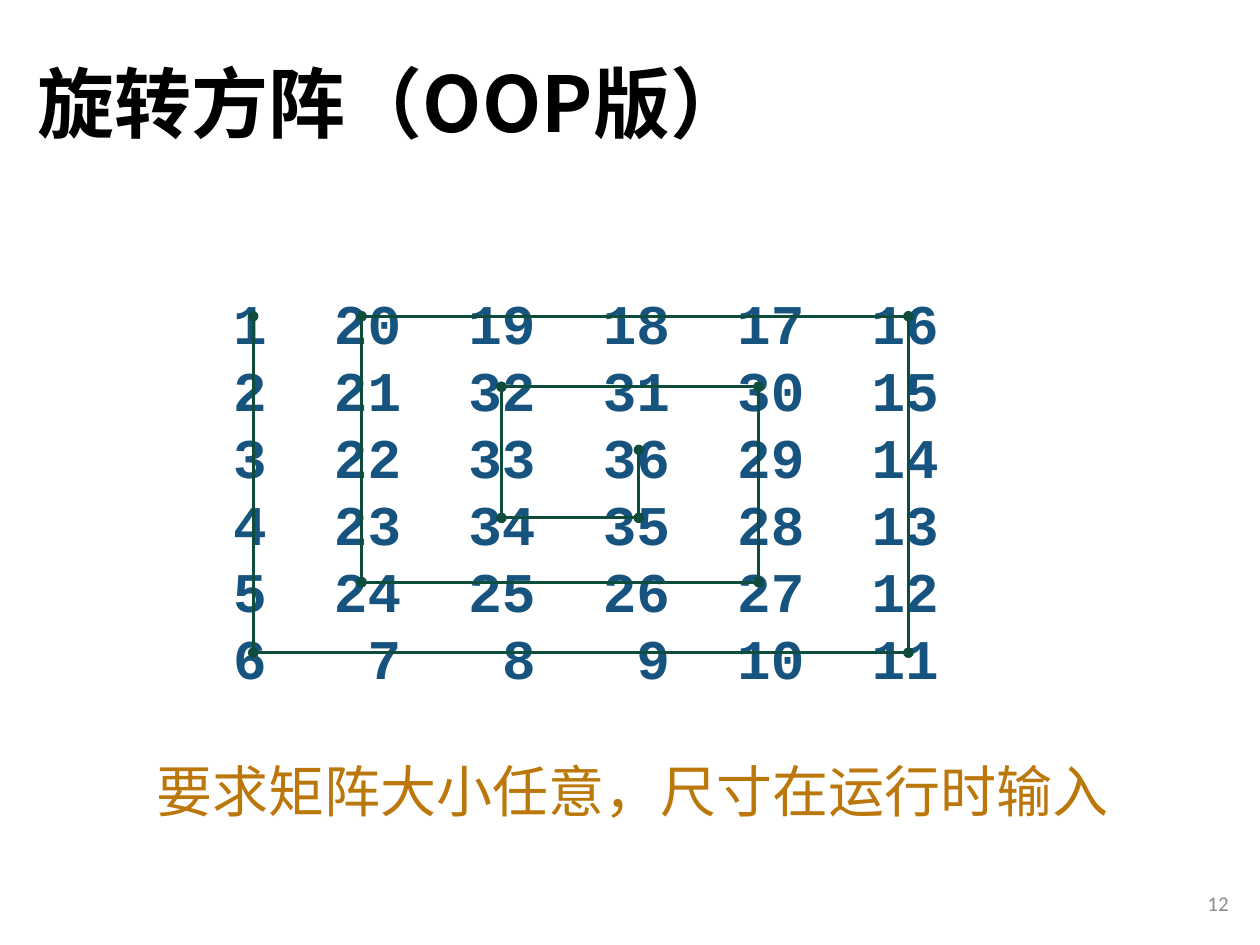
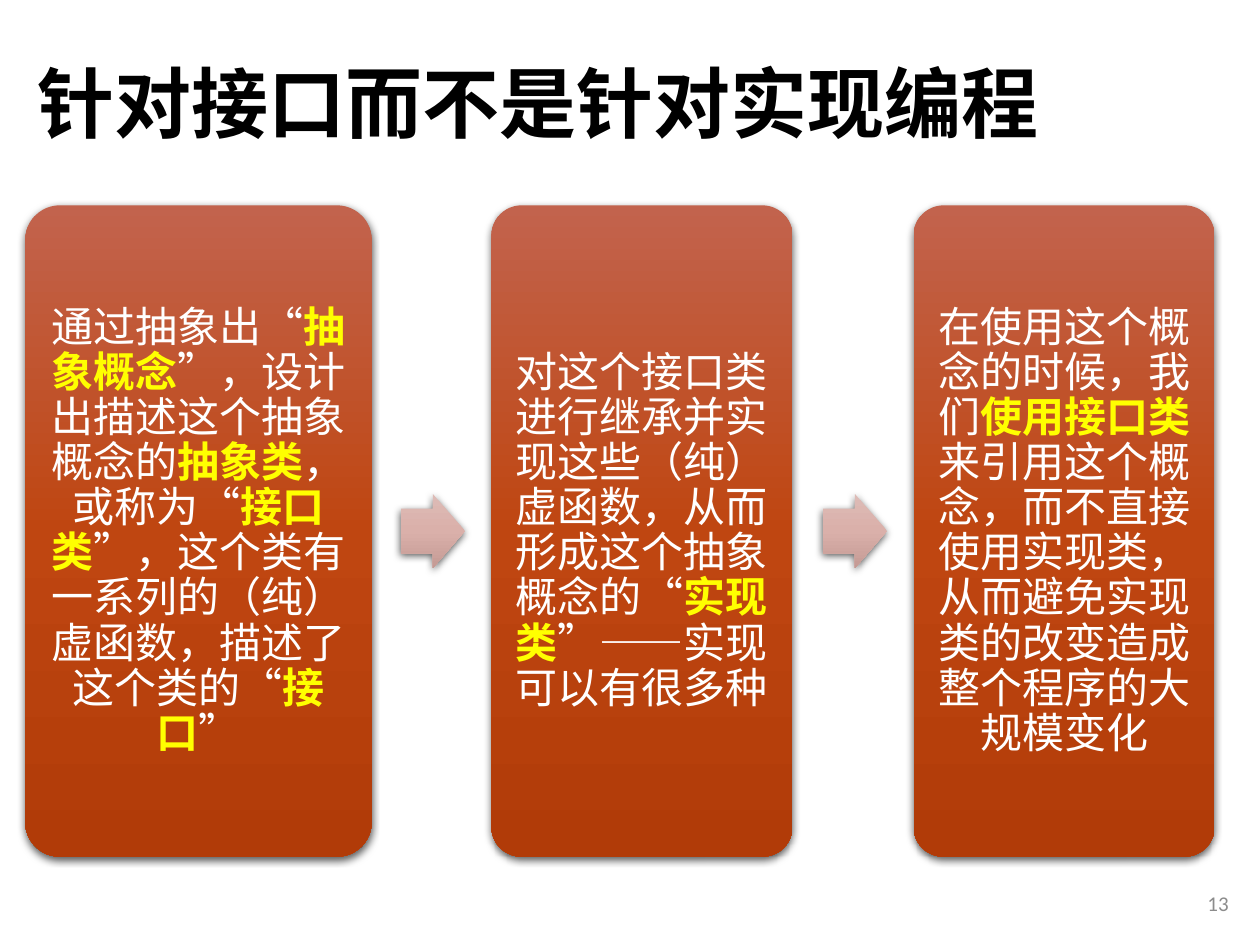
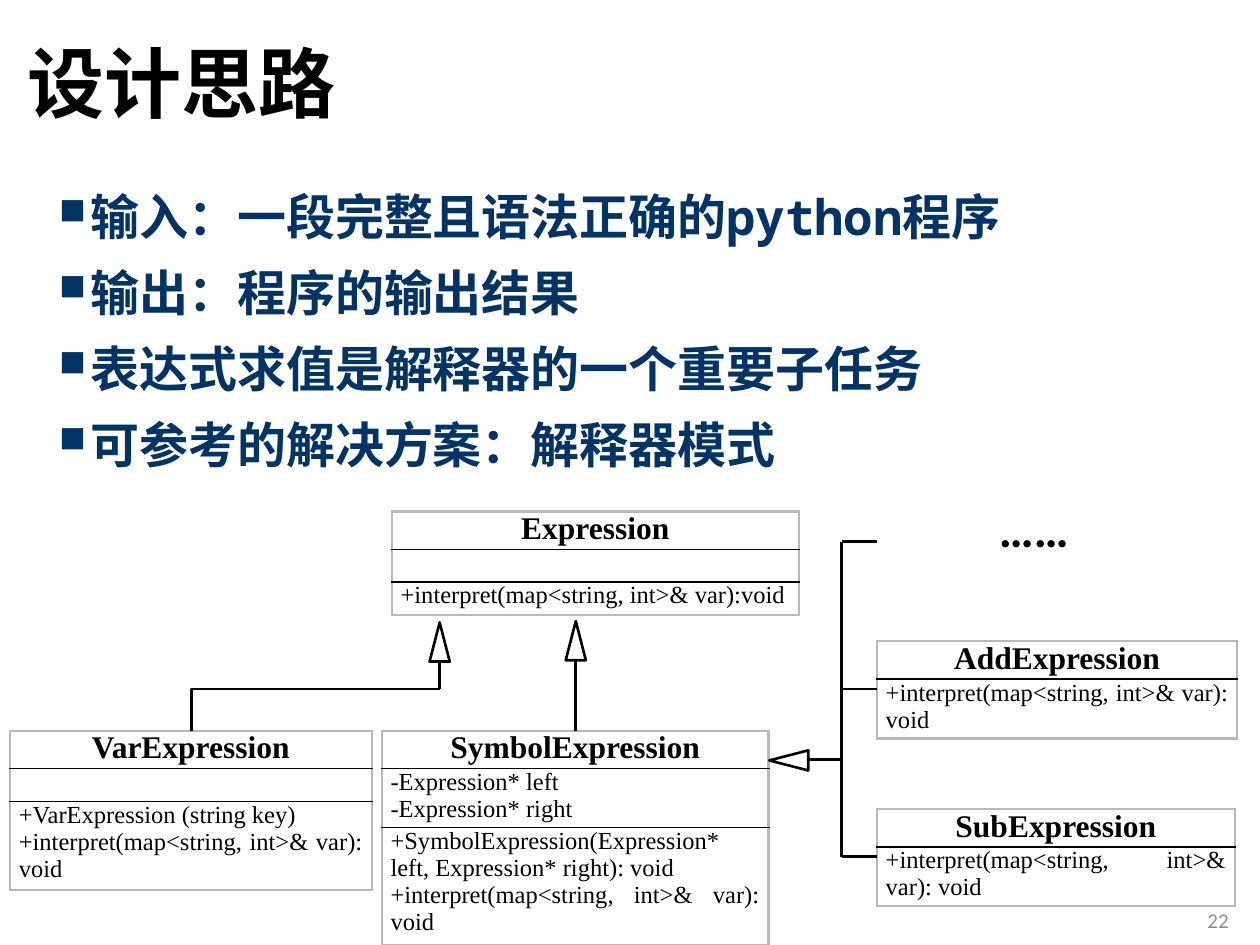
from itertools import pairwise

from lxml import etree
from pptx import Presentation
from pptx import util as u
from pptx.dml.color import RGBColor
from pptx.enum import shapes, text
from pptx.oxml.ns import qn

COLORS = {
    "title": "000000", "ink": "000000", "page": "8C8C8C",
    "matrix": "16537F", "spiral": "0E4D3C", "remark": "BC770B",
    "card_text": "FFFFFF", "keyword": "FFFF00", "bullet": "003366",
    "frame": "B8B8B8", "shadow": "000000",
}
CARD_GRADIENT = ["C2634D", "BF4611", "B13B08"]
ARROW_GRADIENT = ["DDBBB6", "DAB0AA", "C49A94"]
CJK, MONO, SERIF, SANS = "Noto Sans CJK SC", "Noto Sans Mono", "Times New Roman", "Calibri"
ALIGN = text.PP_ALIGN
INTERPRET = "+interpret(map<string, int>& var): void"

MATRIX = [
    [1, 20, 19, 18, 17, 16],
    [2, 21, 32, 31, 30, 15],
    [3, 22, 33, 36, 29, 14],
    [4, 23, 34, 35, 28, 13],
    [5, 24, 25, 26, 27, 12],
    [6, 7, 8, 9, 10, 11],
]
SPIRAL_CORNERS = [
    (2.01, 2.51), (2.01, 5.18), (7.21, 5.18), (7.21, 2.51),
    (2.87, 2.51), (2.87, 4.62), (6.02, 4.62), (6.02, 3.07),
    (3.98, 3.07), (3.98, 4.11), (5.07, 4.11), (5.07, 3.57),
]
# Left, width and text of each step; odd pieces between bars are keywords
STEPS = [
    (0.2, 2.75, "通过抽象出“|抽象概念|”，设计出描述这个抽象概念的|抽象类|，或称为“|接口类|"
                "”，这个类有一系列的（纯）虚函数，描述了这个类的“|接口|”"),
    (3.9, 2.39, "对这个接口类进行继承并实现这些（纯）虚函数，从而形成这个抽象概念的“|实现类|"
                "”——实现可以有很多种"),
    (7.25, 2.39, "在使用这个概念的时候，我们|使用接口类|来引用这个概念，而不直接使用实现类，"
                 "从而避免实现类的改变造成整个程序的大规模变化"),
]
IDEAS = [
    "输入：一段完整且语法正确的python程序",
    "输出：程序的输出结果",
    "表达式求值是解释器的一个重要子任务",
    "可参考的解决方案：解释器模式",
]
# Left, top, width, row heights, name and compartments of each class
CLASSES = [
    (3.11, 4.06, 3.23, [0.29, 0.26, 0.26], "Expression",
     [[], ["+interpret(map<string, int>& var):void"]]),
    (0.08, 5.8, 2.87, [0.29, 0.26, 0.65], "VarExpression",
     [[], ["+VarExpression (string key)", INTERPRET]]),
    (3.03, 5.8, 3.07, [0.29, 0.43, 0.86], "SymbolExpression",
     [["-Expression* left", "-Expression* right"],
      ["+SymbolExpression(Expression* left, Expression* right): void", INTERPRET]]),
    (6.96, 5.09, 2.86, [0.3, 0.47], "AddExpression", [[INTERPRET]]),
    (6.96, 6.42, 2.84, [0.3, 0.47], "SubExpression", [[INTERPRET]]),
]


def rgb(name):
    return RGBColor.from_string(COLORS[name])


def add_xml(parent, tag, **attributes):
    return etree.SubElement(parent, qn(tag), attributes)


def inches(*lengths):
    return [u.Inches(length) for length in lengths]


def style(paragraph, size, face, color, bold=False, align=None, spacing=None):
    font = paragraph.font
    font.size, font.name, font.bold = u.Pt(size), face, bold
    font.color.rgb = rgb(color)
    if face in (CJK, MONO):
        add_xml(paragraph._p.pPr.find(qn("a:defRPr")), "a:ea", typeface=CJK)
    if align is not None:
        paragraph.alignment = align
    if spacing is not None:
        paragraph.line_spacing = spacing


def fill_lines(frame, lines):
    """Put one line in each paragraph and return the paragraphs."""
    frame.text = "\n".join(lines)
    return frame.paragraphs


def add_text(slide, box, lines, middle=False, wrap=True):
    frame = slide.shapes.add_textbox(*inches(*box)).text_frame
    frame.word_wrap = wrap
    if middle:
        frame.vertical_anchor = text.MSO_ANCHOR.MIDDLE
    return fill_lines(frame, lines)


def add_slide(prs, title, page, title_at=(0.2, 0.13), page_top=6.97):
    slide = prs.slides.add_slide(prs.slide_layouts[6])
    heading, = add_text(slide, (*title_at, 8.62, 1.45), [title], middle=True)
    style(heading, 44, CJK, "title", bold=True, spacing=0.9)
    number, = add_text(slide, (7.6, page_top, 2.25, 0.4), [str(page)], middle=True)
    style(number, 12, SANS, "page", align=ALIGN.RIGHT)
    return slide


def add_line(slide, start, end, color="ink", width=1.5, dots=False,
             kind=shapes.MSO_CONNECTOR.STRAIGHT):
    line = slide.shapes.add_connector(kind, *inches(*start, *end))
    line.line.color.rgb = rgb(color)
    line.line.width = u.Pt(width)
    if dots:
        for end_tag in ("a:headEnd", "a:tailEnd"):
            add_xml(line.line._get_or_add_ln(), end_tag, type="oval")
    add_xml(line._element.spPr, "a:effectLst")
    return line


def add_bent_line(slide, start, end):
    """Line that leaves start, turns once and reaches end."""
    bent = add_line(slide, start, end, kind=shapes.MSO_CONNECTOR.ELBOW)
    properties = bent._element.spPr
    properties.find(qn("a:prstGeom")).set("prst", "bentConnector2")
    properties.find(qn("a:xfrm")).set("rot", "5400000")


def add_glossy(slide, kind, box, adjustments, gradient):
    """Shape with a three-stop vertical gradient and a soft shadow."""
    shape = slide.shapes.add_shape(kind, *inches(*box))
    for index, value in enumerate(adjustments):
        shape.adjustments[index] = value
    shape.fill.gradient()
    shape.fill.gradient_angle = 270
    stops = shape._element.spPr.find(".//" + qn("a:gsLst"))
    for stop in list(stops):
        stops.remove(stop)
    for index, color in enumerate(gradient):
        stop = add_xml(stops, "a:gs", pos=str(index * 50000))
        add_xml(stop, "a:srgbClr", val=color)
    shape.line.fill.background()
    shape.shadow.inherit = False
    shadow = add_xml(shape._element.spPr.find(qn("a:effectLst")), "a:outerShdw",
                     blurRad=str(u.Pt(4.5)), dist=str(u.Pt(1.5)),
                     dir="5400000", rotWithShape="0")
    add_xml(add_xml(shadow, "a:srgbClr", val=COLORS["shadow"]), "a:alpha", val="63000")
    return shape


def add_step(slide, left, width, wording):
    card = add_glossy(slide, shapes.MSO_SHAPE.ROUNDED_RECTANGLE,
                      (left, 1.63, width, 5.17), [0.1], CARD_GRADIENT)
    frame = card.text_frame
    frame.word_wrap = True
    frame.vertical_anchor = text.MSO_ANCHOR.MIDDLE
    frame.margin_left = frame.margin_right = u.Inches(0.1)
    frame.margin_top = frame.margin_bottom = u.Inches(0.1)
    paragraph = frame.paragraphs[0]
    style(paragraph, 24, CJK, "card_text", align=ALIGN.CENTER, spacing=u.Pt(25.8))
    for index, piece in enumerate(wording.split("|")):
        run = paragraph.add_run()
        run.text = piece
        if index % 2:
            run.font.bold = True
            run.font.color.rgb = rgb("keyword")


def add_border(cell, side, color, width):
    border = add_xml(cell._tc.get_or_add_tcPr(), f"a:ln{side}", w=str(u.Pt(width)))
    add_xml(add_xml(border, "a:solidFill"), "a:srgbClr", val=COLORS[color])


def add_class(slide, left, top, width, heights, name, compartments):
    rows = [[name], *compartments]
    table = slide.shapes.add_table(
        len(rows), 1, *inches(left, top, width, sum(heights))).table
    table.first_row = table.horz_banding = False
    last = len(rows) - 1
    for index, (lines, height) in enumerate(zip(rows, heights)):
        table.rows[index].height = u.Inches(height)
        cell = table.cell(index, 0)
        cell.margin_left = cell.margin_right = u.Inches(0.07)
        cell.margin_top = cell.margin_bottom = 0
        for side, outer in (("L", True), ("R", True),
                            ("T", index == 0), ("B", index == last)):
            add_border(cell, side, *(("frame", 1.5) if outer else ("ink", 1)))
        cell.fill.background()
        for paragraph in fill_lines(cell.text_frame, lines):
            if not lines:
                add_xml(paragraph._p, "a:endParaRPr", sz="1400")
            elif index == 0:
                style(paragraph, 18, SERIF, "ink", bold=True, align=ALIGN.CENTER)
            else:
                style(paragraph, 14, SERIF, "ink", align=ALIGN.JUSTIFY)


def add_arrowhead(slide, left, top, rotation=0):
    head = slide.shapes.add_shape(shapes.MSO_SHAPE.ISOSCELES_TRIANGLE,
                                  *inches(left, top, 0.16, 0.31))
    head.rotation = rotation
    head.fill.background()
    head.line.color.rgb = rgb("ink")
    head.line.width = u.Pt(1.5)
    head.shadow.inherit = False


def build_matrix(prs):
    slide = add_slide(prs, "旋转方阵（OOP版）", 12)
    # Numbers, right-aligned on evenly spaced tab stops
    rows = ["".join(f"\t{number}" for number in row) for row in MATRIX]
    for paragraph in add_text(slide, (1.22, 2.24, 6.67, 3.33), rows):
        tabs = add_xml(paragraph._p.get_or_add_pPr(), "a:tabLst")
        for column in range(len(MATRIX[0])):
            stop = u.Pt(19.2 * (3 + 4 * column))
            add_xml(tabs, "a:tab", pos=str(stop), algn="r")
        style(paragraph, 32, "Courier New", "matrix", bold=True, spacing=u.Pt(38.3))
    # Spiral through the numbers
    for start, end in pairwise(SPIRAL_CORNERS):
        add_line(slide, start, end, "spiral", 1.75, dots=True)
    remark, = add_text(slide, (1.14, 5.95, 7.83, 0.64),
                       ["要求矩阵大小任意，尺寸在运行时输入"], wrap=False)
    style(remark, 32, CJK, "remark", spacing=u.Pt(39))


def build_steps(prs):
    slide = add_slide(prs, "针对接口而不是针对实现编程", 13)
    for step in STEPS:
        add_step(slide, *step)
    for left in (3.18, 6.53):
        add_glossy(slide, shapes.MSO_SHAPE.RIGHT_ARROW, (left, 3.92, 0.51, 0.59),
                   [0.6, 0.5], ARROW_GRADIENT)


def build_design(prs):
    slide = add_slide(prs, "设计思路", 22, title_at=(0.12, -0.03), page_top=7.1)
    # Bulleted ideas
    for paragraph in add_text(slide, (0.37, 1.43, 9.06, 2.5), IDEAS):
        properties = paragraph._p.get_or_add_pPr()
        properties.set("marL", str(u.Inches(0.25)))
        properties.set("indent", str(u.Inches(-0.25)))
        add_xml(properties, "a:buSzPct", val="75000")
        add_xml(properties, "a:buChar", char="■")
        paragraph.space_before = u.Pt(10)
        style(paragraph, 28, MONO, "bullet", bold=True, spacing=u.Pt(33.5))
    # Class diagram
    for entry in CLASSES:
        add_class(slide, *entry)
    more, = add_text(slide, (7.83, 3.91, 0.98, 0.57), ["……"])
    style(more, 28, SANS, "ink", bold=True)
    # Inheritance from Expression
    add_bent_line(slide, (2.67, 6.62), (2.34, 4.65))
    add_line(slide, (3.49, 5.47), (3.49, 5.25))
    add_line(slide, (4.57, 5.8), (4.57, 5.24))
    add_arrowhead(slide, 3.41, 4.94)
    add_arrowhead(slide, 4.49, 4.93)
    # Inheritance from SymbolExpression
    trunk = 6.68
    add_line(slide, (trunk, 6.8), (trunk, 4.3))
    for top in (4.3, 5.47, 6.8):
        add_line(slide, (6.96, top), (trunk, top))
    add_line(slide, (trunk, 6.03), (6.42, 6.03))
    add_arrowhead(slide, 6.18, 5.88, rotation=270)


def main():
    prs = Presentation()
    prs.slide_width, prs.slide_height = inches(10, 7.5)
    build_matrix(prs)
    build_steps(prs)
    build_design(prs)
    prs.save("out.pptx")


if __name__ == "__main__":
    main()
